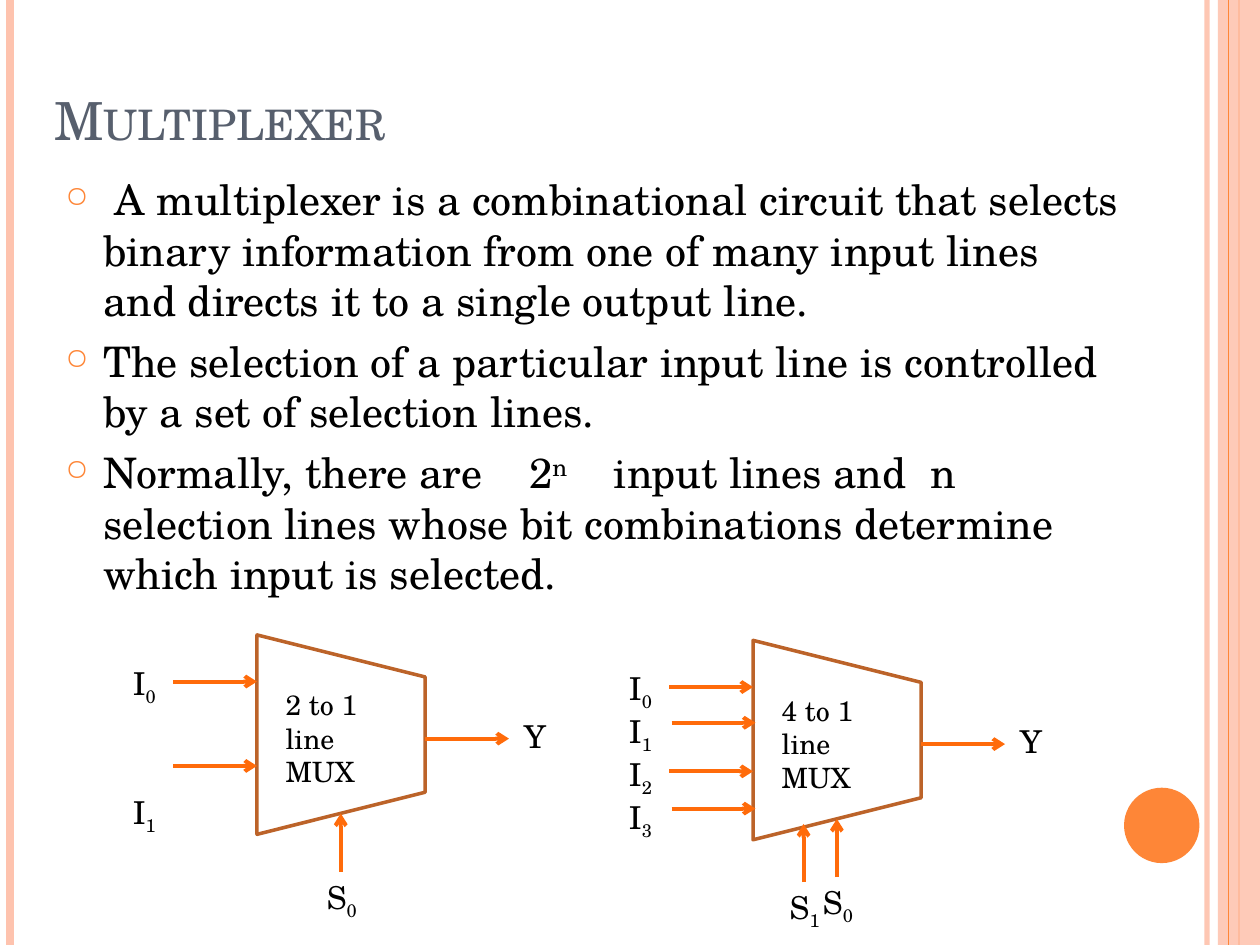
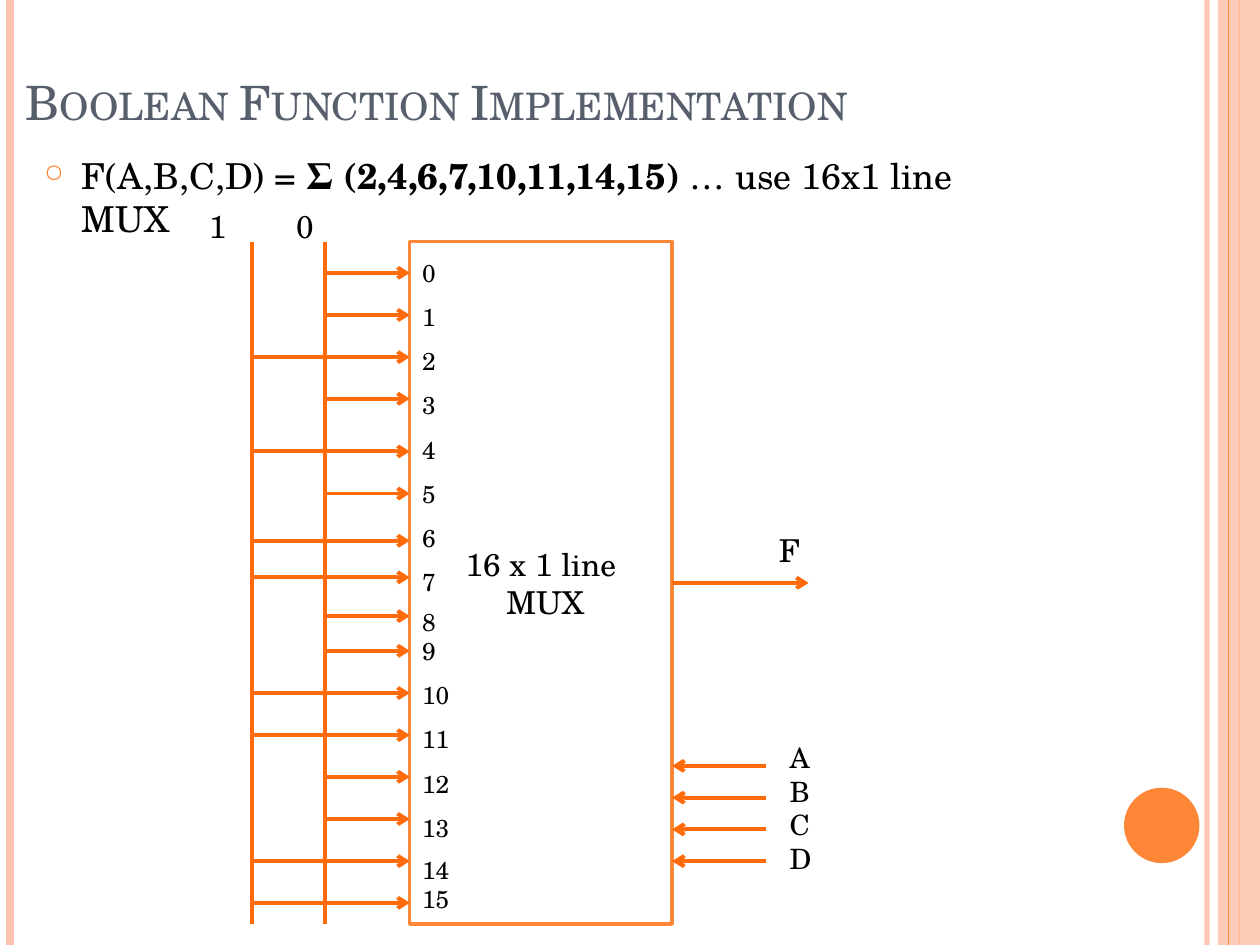
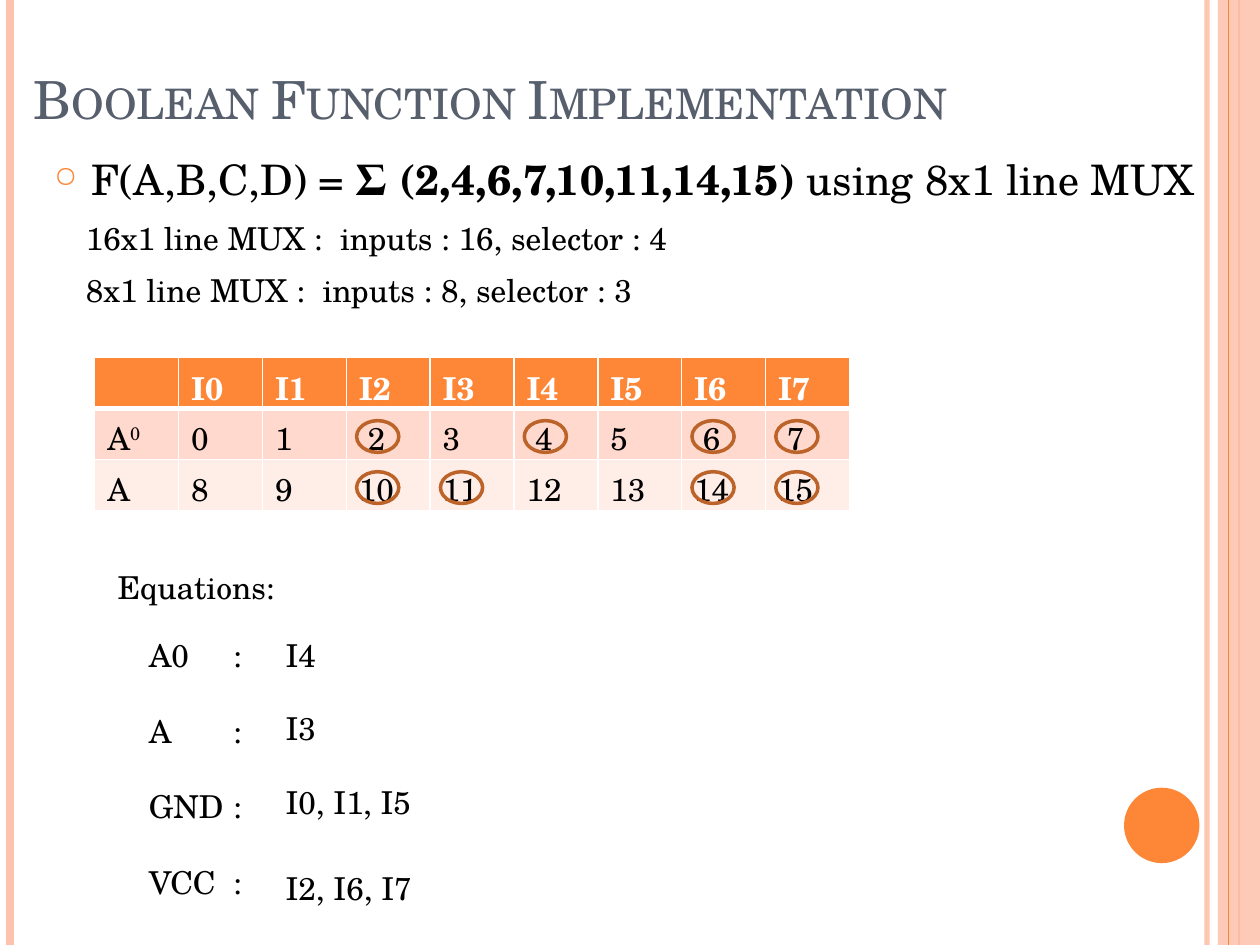
import dataclasses

import lxml.etree
import pptx
import pptx.dml.color
import pptx.enum.shapes
import pptx.enum.text
import pptx.oxml.ns
import pptx.util

Cm = pptx.util.Cm
Pt = pptx.util.Pt
qn = pptx.oxml.ns.qn
SHAPE = pptx.enum.shapes.MSO_SHAPE
ANCHOR = pptx.enum.text.MSO_ANCHOR


@dataclasses.dataclass(frozen=True)
class Theme:
    font: str = "TeX Gyre Schola"
    text: str = "000000"
    paper: str = "FFFFFF"
    title: str = "575F6D"
    accent: str = "FE8637"
    pale: str = "FEC3AE"
    outline: str = "BC6329"
    wire: str = "FF6B0A"
    rows: tuple = ("FE8637", "FFD9CE", "FFEDE8")
    wire_width: float = 2.25
    outline_width: float = 2
    title_size: float = 30
    body_size: float = 24
    label_size: float = 18
    small_size: float = 16
    index_size: float = 14


THEME = Theme()
SLIDE_WIDTH, SLIDE_HEIGHT = 25.4, 19.05

# Run attributes by style name; "gap" widens a single space
RUN_STYLES = {
    "": {},
    "sub": {"baseline": "-25000"},
    "super": {"baseline": "30000"},
    "bold": {"b": "1"},
    "caps": {"cap": "small"},
    "gap": {"spc": "2000"},
    "small gap": {"spc": "667"},
}

# Content
MINTERMS = (2, 4, 6, 7, 10, 11, 14, 15)
MINTERM_SUM = (f"Σ ({','.join(map(str, MINTERMS))})", "bold")

MULTIPLEXER_POINTS = [
    " A multiplexer is a combinational circuit that selects binary information "
    "from one of many input lines and directs it to a single output line.",
    "The selection of a particular input line is controlled by a set of selection lines.",
    [("Normally, there are", ""), (" ", "gap"), ("2", ""), ("n", "super"), (" ", "gap"),
     ("input lines and", ""), (" ", "small gap"), ("n", ""), (" ", "small gap"),
     ("selection lines whose bit combinations determine which input is selected.", "")],
]
# Input arrows are (x, y) of the tip; selectors are (index, x, y) shifts
MULTIPLEXERS = [
    {"name": "2 to 1 line MUX", "left": 5.18, "top": 12.8, "inputs": 2, "input_gap": 49,
     "tips": [(0, 0.94), (0, 2.64)], "selectors": [(0, 1.69, 0)]},
    {"name": "4 to 1 line MUX", "left": 15.18, "top": 12.91, "inputs": 4, "input_gap": 0,
     "tips": [(0, 0.94), (0.05, 1.66), (0, 2.64), (0.05, 3.39)],
     "selectors": [(0, 1.69, 0), (1, 1.02, 0.1)]},
]
INPUT_HEIGHTS = [5.5, 6.35, 7.2, 8.04, 9.1, 9.95, 10.9, 11.64,
                 12.42, 13.12, 13.97, 14.82, 15.66, 16.51, 17.36, 18.2]
INDEX_GAP = 8.4
INDEX_GAP_EXCEPTIONS = {7: 6, 8: 0, 13: 7.2, 14: 0}
SELECTOR_NAMES = "ABCD"

SIZE_NOTES = ["16x1 line MUX :  inputs : 16, selector : 4",
              "8x1 line MUX :  inputs : 8, selector : 3"]
EQUATIONS = [("A0", "I4", 12.7), ("A", "I3", 14.17),
             ("GND", "I0, I1, I5", 15.67), ("VCC", "I2, I6, I7", 17.4)]


# Basic helpers
def rgb(value):
    return pptx.dml.color.RGBColor.from_string(value)


def apply_formats(target, formats):
    for name, value in formats.items():
        setattr(target, name, value)


def add_xml(parent, tag, **attributes):
    return lxml.etree.SubElement(parent, qn(tag), attributes)


def set_opacity(element, percent):
    color = next(element.iter(qn("a:srgbClr")))
    add_xml(color, "a:alpha", val=str(percent * 1000))


def add_paragraph_text(paragraph, content, size, color=THEME.text):
    runs = [(content, "")] if isinstance(content, str) else content
    for text, style in runs:
        run = paragraph.add_run()
        run.text = text
        apply_formats(run.font, {"name": THEME.font, "size": Pt(size)})
        run.font.color.rgb = rgb(color)
        for name, value in RUN_STYLES[style].items():
            run.font._element.set(name, value)


def write_paragraphs(frame, contents, size, color=THEME.text, **formats):
    for index, content in enumerate(contents):
        paragraph = frame.add_paragraph() if index else frame.paragraphs[0]
        add_paragraph_text(paragraph, content, size, color)
        apply_formats(paragraph, formats)


def add_text(slide, contents, left, top, width, height, size=THEME.label_size,
             color=THEME.text, anchor=ANCHOR.TOP, **formats):
    box = slide.shapes.add_textbox(Cm(left), Cm(top), Cm(width), Cm(height))
    apply_formats(box.text_frame, {"word_wrap": True, "vertical_anchor": anchor})
    write_paragraphs(box.text_frame, contents, size, color, **formats)
    return box.text_frame.paragraphs


def add_shape(slide, kind, left, top, width, height, fill=None, line=None):
    shape = slide.shapes.add_shape(kind, Cm(left), Cm(top), Cm(width), Cm(height))
    shape.shadow.inherit = False
    if fill:
        shape.fill.solid()
        shape.fill.fore_color.rgb = rgb(fill)
    else:
        shape.fill.background()
    if line:
        shape.line.color.rgb = rgb(line)
        shape.line.width = Pt(THEME.outline_width)
    else:
        shape.line.fill.background()
    return shape


def add_line(slide, x1, y1, x2, y2, color=THEME.wire, width=THEME.wire_width):
    line = slide.shapes.add_connector(
        pptx.enum.shapes.MSO_CONNECTOR.STRAIGHT, Cm(x1), Cm(y1), Cm(x2), Cm(y2))
    line.line.color.rgb = rgb(color)
    line.line.width = Pt(width)
    add_xml(line._element.spPr, "a:effectLst")
    return line


def add_arrow(slide, x1, y1, x2, y2):
    arrow = add_line(slide, x1, y1, x2, y2)
    add_xml(arrow.line._get_or_add_ln(), "a:tailEnd", type="arrow")
    return arrow


# Shared slide parts
def add_frame(slide):
    inner = add_line(slide, 24.33, 0, 24.33, SLIDE_HEIGHT, THEME.pale, 3)
    set_opacity(inner._element, 93)
    add_line(slide, 0.21, 0, 0.21, SLIDE_HEIGHT, THEME.pale, 4.5)
    add_line(slide, 24.98, 0, 24.98, SLIDE_HEIGHT, THEME.accent, 1.5)
    band = add_shape(slide, SHAPE.RECTANGLE, 24.55, 0, 0.85, SLIDE_HEIGHT, THEME.pale)
    set_opacity(band._element, 87)
    add_line(slide, 24.77, 0, 24.77, SLIDE_HEIGHT, THEME.accent, 0.75)
    add_shape(slide, SHAPE.OVAL, 22.66, 15.88, 1.52, 1.52, THEME.accent)


def add_slide(presentation, title, left, top, size=THEME.title_size):
    slide = presentation.slides.add_slide(presentation.slide_layouts[6])
    add_frame(slide)
    add_text(slide, [[(title, "caps")]], left, top, 20.75, 3.18, size,
             THEME.title, ANCHOR.BOTTOM)
    return slide


def add_bullets(slide, contents, left, top, width, height, size=THEME.body_size):
    indent = Cm(0.76)
    for paragraph in add_text(slide, contents, left, top, width, height, size,
                              space_before=Pt(6)):
        properties = paragraph._p.get_or_add_pPr()
        properties.set("marL", str(indent))
        properties.set("indent", str(-indent))
        add_xml(add_xml(properties, "a:buClr"), "a:srgbClr", val=THEME.accent)
        add_xml(properties, "a:buSzPct", val="70000")
        add_xml(properties, "a:buChar", char="○")


# Slide 1: block symbols
def add_multiplexer(slide, symbol):
    left, top = symbol["left"], symbol["top"]
    width, height, lead = 3.39, 4.02, 1.69
    # The trapezoid is turned a quarter, so its sides swap about the centre
    shift = (height - width) / 2
    body = add_shape(slide, SHAPE.TRAPEZOID, left - shift, top + shift, height, width,
                     line=THEME.outline)
    body.rotation = 90
    add_text(slide, [symbol["name"]], left + 0.33, top + 0.94, 2.64, 2.31, THEME.small_size)
    add_arrow(slide, left + width, top + 2.09, left + width + lead, top + 2.09)
    add_text(slide, ["Y"], left + 5.13, top + 1.52, 1.47, 1.02)

    for x, y in symbol["tips"]:
        add_arrow(slide, left + x - lead, top + y, left + x, top + y)
    names = [[("I", ""), (str(number), "sub")] for number in range(symbol["inputs"])]
    add_text(slide, names, left - 2.75, top + 0.46, 1.91, 3.3,
             space_after=Pt(symbol["input_gap"]))

    for number, x, y in symbol["selectors"]:
        foot = top + 4.77 + y
        add_arrow(slide, left + x, foot, left + x, foot - 1.17)
        add_text(slide, [[("S", ""), (str(number), "sub")]], left + x - 0.53, foot, 1.27, 1.07)


def build_multiplexer_slide(presentation):
    slide = add_slide(presentation, "Multiplexer", 0.84, 0)
    add_bullets(slide, MULTIPLEXER_POINTS, 1.07, 3.38, 21.79, 8.89)
    for symbol in MULTIPLEXERS:
        add_multiplexer(slide, symbol)


# Slide 2: 16 inputs wired to the rails
def build_sixteen_input_slide(presentation):
    slide = add_slide(presentation, "Boolean Function Implementation", 0.27, -0.43, 27)
    add_bullets(slide, [[("F(A,B,C,D) = ", ""), MINTERM_SUM, (" … use 16x1 line MUX", "")]],
                0.64, 2.97, 20.75, 1.7, 20.4)

    left, top, width, height = 8.26, 4.87, 5.29, 13.76
    right = left + width
    block = add_shape(slide, SHAPE.RECTANGLE, left, top, width, height,
                      THEME.paper, THEME.accent)
    block.text_frame.vertical_anchor = ANCHOR.MIDDLE
    write_paragraphs(block.text_frame, ["16 x 1 line", " MUX"], THEME.label_size,
                     alignment=pptx.enum.text.PP_ALIGN.CENTER)

    rails = {"1": 5.08, "0": 6.56}
    for value, x in rails.items():
        add_line(slide, x, top, x, top + height)
    add_text(slide, ["1"], 3.96, 4.04, 1.27, 1.07)
    add_text(slide, ["0"], 5.72, 4.04, 1.27, 1.07)
    for number, y in enumerate(INPUT_HEIGHTS):
        rail = "1" if number in MINTERMS else "0"
        add_arrow(slide, rails[rail], y, left, y)
    numbers = [str(number) for number in range(len(INPUT_HEIGHTS))]
    paragraphs = add_text(slide, numbers, left, 5.08, 1.27, 13.94, THEME.index_size)
    for number, paragraph in enumerate(paragraphs):
        paragraph.space_after = Pt(INDEX_GAP_EXCEPTIONS.get(number, INDEX_GAP))

    middle = top + height / 2
    output = add_arrow(slide, right, middle, 16.3, middle)
    output.begin_connect(block, 3)
    add_text(slide, ["F"], 15.45, 10.58, 1.07, 1.07)
    for index in range(len(SELECTOR_NAMES)):
        y = 15.44 + 0.64 * index
        add_arrow(slide, 15.45, y, right, y)
    add_text(slide, SELECTOR_NAMES, 15.67, 14.81, 1.27, 3, THEME.small_size)


# Slide 3: implementation table
def format_cell(cell, row, content):
    properties = cell._tc.get_or_add_tcPr()
    for side in "LRTB":
        thick = (row, side) in ((0, "B"), (1, "T"))
        border = add_xml(properties, f"a:ln{side}", w=str(Pt(3 if thick else 1)))
        add_xml(add_xml(border, "a:solidFill"), "a:srgbClr", val=THEME.paper)
    cell.fill.solid()
    cell.fill.fore_color.rgb = rgb(THEME.rows[row])
    if content:
        add_paragraph_text(cell.text_frame.paragraphs[0], content, THEME.label_size,
                           THEME.text if row else THEME.paper)


def add_implementation_table(slide):
    left, top, column_width, row_height, inputs = 1.91, 7.2, 1.69, 1.03, 8
    rows = [
        [""] + [[(f"I{number}", "bold")] for number in range(inputs)],
        [[("A", ""), ("0", "super")]]
        + [f" {number}" if number in MINTERMS else str(number) for number in range(inputs)],
        ["A"] + [str(number) for number in range(inputs, 2 * inputs)],
    ]
    columns = inputs + 1
    table = slide.shapes.add_table(len(rows), columns, Cm(left), Cm(top),
                                   Cm(column_width * columns),
                                   Cm(row_height * len(rows))).table
    for column in table.columns:
        column.width = Cm(column_width)
    for row, contents in enumerate(rows):
        table.rows[row].height = Cm(row_height)
        for column, content in enumerate(contents):
            format_cell(table.cell(row, column), row, content)
    for number in MINTERMS:
        row, column = divmod(number, inputs)
        add_shape(slide, SHAPE.OVAL, left + (column + 1) * column_width + 0.21,
                  top + (row + 1) * row_height + 0.25, 0.85, 0.64, line=THEME.outline)


def build_eight_input_slide(presentation):
    slide = add_slide(presentation, "Boolean Function Implementation", 0.43, -0.43)
    add_bullets(slide, [[("F(A,B,C,D) = ", ""), MINTERM_SUM, (" using 8x1 line MUX", "")]],
                0.84, 2.97, 23.93, 1.47)
    for index, note in enumerate(SIZE_NOTES):
        add_text(slide, [note], 1.48, 4.29 + 1.04 * index, 12.5, 1.02)
    add_implementation_table(slide)

    add_text(slide, ["Equations:"], 2.12, 11.33, 5.08, 1.02)
    labels = [f"{name}\t:" for name, _, _ in EQUATIONS]
    for paragraph in add_text(slide, labels, 2.75, 12.7, 2.75, 5.64, space_after=Pt(21.6)):
        tabs = add_xml(paragraph._p.get_or_add_pPr(), "a:tabLst")
        add_xml(tabs, "a:tab", pos=str(Cm(1.7)), algn="l")
    for _, value, top in EQUATIONS:
        add_text(slide, [value], 5.51, top, 4.01, 1.02)


def main():
    presentation = pptx.Presentation()
    presentation.slide_width = Cm(SLIDE_WIDTH)
    presentation.slide_height = Cm(SLIDE_HEIGHT)
    build_multiplexer_slide(presentation)
    build_sixteen_input_slide(presentation)
    build_eight_input_slide(presentation)
    presentation.save("out.pptx")


if __name__ == "__main__":
    main()
